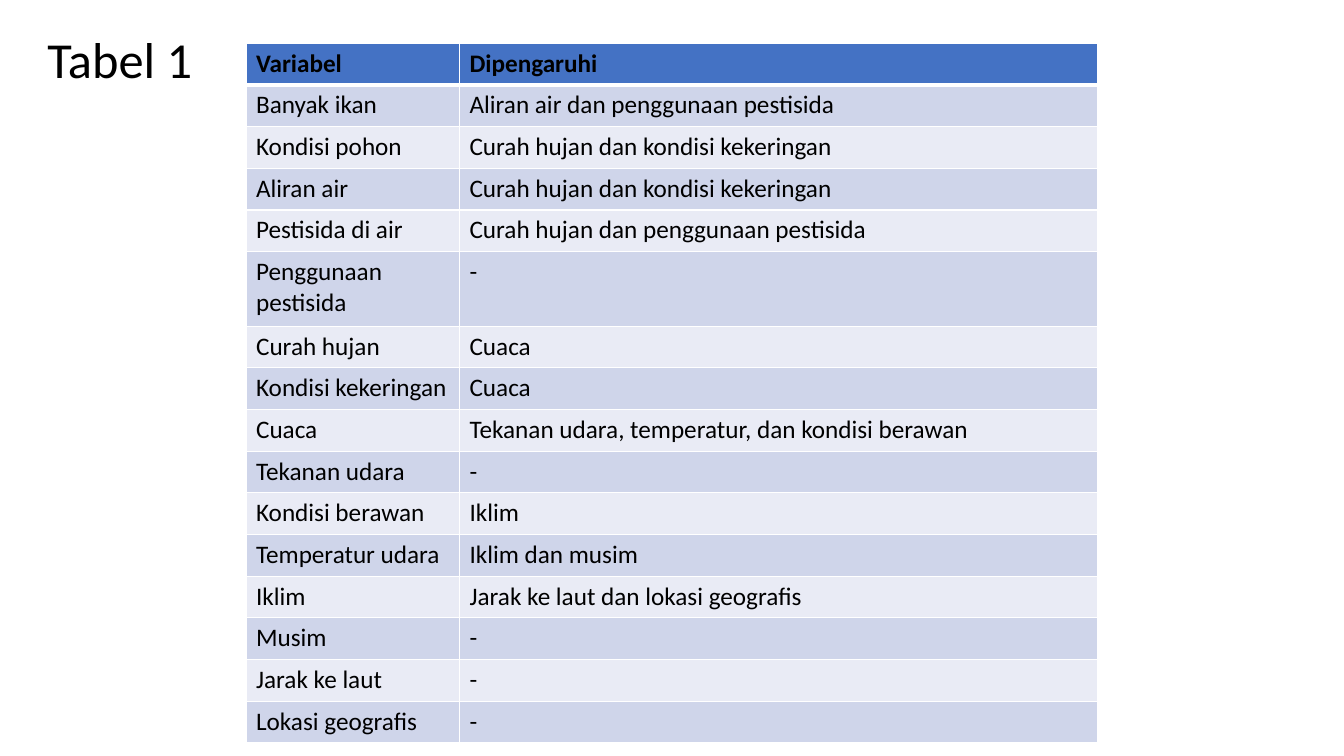
from lxml.etree import SubElement
from pptx import Presentation
from pptx.dml.color import RGBColor
from pptx.enum.text import MSO_ANCHOR, PP_ALIGN
from pptx.oxml.ns import qn
from pptx.util import Cm, Pt

COLORS = {
    "text": "000000",
    "header": "4472C4",
    "odd_row": "CFD5EA",
    "even_row": "E9EBF5",
    "border": "FFFFFF",
}
FONT = "Calibri"
COLUMN_WIDTHS = (5.38, 16.08)
ROW_HEIGHT = 1.05
TWO_LINE_HEIGHT = 1.88
TWO_LINE_ROW = 5
VARIABLES = [
    ("Variabel", "Dipengaruhi"),
    ("Banyak ikan", "Aliran air dan penggunaan pestisida"),
    ("Kondisi pohon", "Curah hujan dan kondisi kekeringan"),
    ("Aliran air", "Curah hujan dan kondisi kekeringan"),
    ("Pestisida di air", "Curah hujan dan penggunaan pestisida"),
    ("Penggunaan pestisida", "-"),
    ("Curah hujan", "Cuaca"),
    ("Kondisi kekeringan", "Cuaca"),
    ("Cuaca", "Tekanan udara, temperatur, dan kondisi berawan"),
    ("Tekanan udara", "-"),
    ("Kondisi berawan", "Iklim"),
    ("Temperatur udara", "Iklim dan musim"),
    ("Iklim", "Jarak ke laut dan lokasi geografis"),
    ("Musim", "-"),
    ("Jarak ke laut", "-"),
    ("Lokasi geografis", "-"),
]


def format_font(font, size, bold=False):
    """Apply the slide's typeface and text colour."""
    font.name = FONT
    font.size = Pt(size)
    font.bold = bold
    font.color.rgb = RGBColor.from_string(COLORS["text"])


def set_borders(cell, top, bottom):
    """Draw the cell's borders, with the top and bottom widths in points."""
    properties = cell._tc.get_or_add_tcPr()
    for side, width in (("L", 1), ("R", 1), ("T", top), ("B", bottom)):
        line = SubElement(properties, qn(f"a:ln{side}"), w=str(Pt(width)))
        fill = SubElement(line, qn("a:solidFill"))
        SubElement(fill, qn("a:srgbClr"), val=COLORS["border"])


def add_title(slide, left, top, width, height):
    """Place and format the slide title."""
    title = slide.shapes.title
    title.left, title.top = Cm(left), Cm(top)
    title.width, title.height = Cm(width), Cm(height)
    title.text_frame.text = "Tabel 1"
    title.text_frame.vertical_anchor = MSO_ANCHOR.MIDDLE
    paragraph = title.text_frame.paragraphs[0]
    paragraph.alignment = PP_ALIGN.LEFT
    paragraph.line_spacing = 0.9
    format_font(paragraph.runs[0].font, 36)


def add_variable_table(slide, left, top):
    """Add the table of variables and what influences them."""
    heights = [ROW_HEIGHT] * len(VARIABLES)
    heights[TWO_LINE_ROW] = TWO_LINE_HEIGHT
    table = slide.shapes.add_table(
        len(VARIABLES), len(COLUMN_WIDTHS), Cm(left), Cm(top),
        Cm(sum(COLUMN_WIDTHS)), Cm(sum(heights)),
    ).table
    for column, width in zip(table.columns, COLUMN_WIDTHS):
        column.width = Cm(width)
    for index, (row, texts) in enumerate(zip(table.rows, VARIABLES)):
        row.height = Cm(heights[index])
        is_header = index == 0
        fill = "header" if is_header else "odd_row" if index % 2 else "even_row"
        for cell, text in zip(row.cells, texts):
            cell.text_frame.text = text
            format_font(cell.text_frame.paragraphs[0].runs[0].font, 18, is_header)
            set_borders(cell, 3 if index == 1 else 1, 3 if is_header else 1)
            cell.fill.solid()
            cell.fill.fore_color.rgb = RGBColor.from_string(COLORS[fill])


def main():
    """Build the slide and save the presentation."""
    presentation = Presentation()
    presentation.slide_width = Cm(33.87)
    presentation.slide_height = Cm(19.05)
    slide = presentation.slides.add_slide(presentation.slide_layouts[5])
    add_title(slide, 0.94, -0.28, 29.21, 3.68)
    add_variable_table(slide, 6.2, 1.09)
    presentation.save("out.pptx")


if __name__ == "__main__":
    main()
